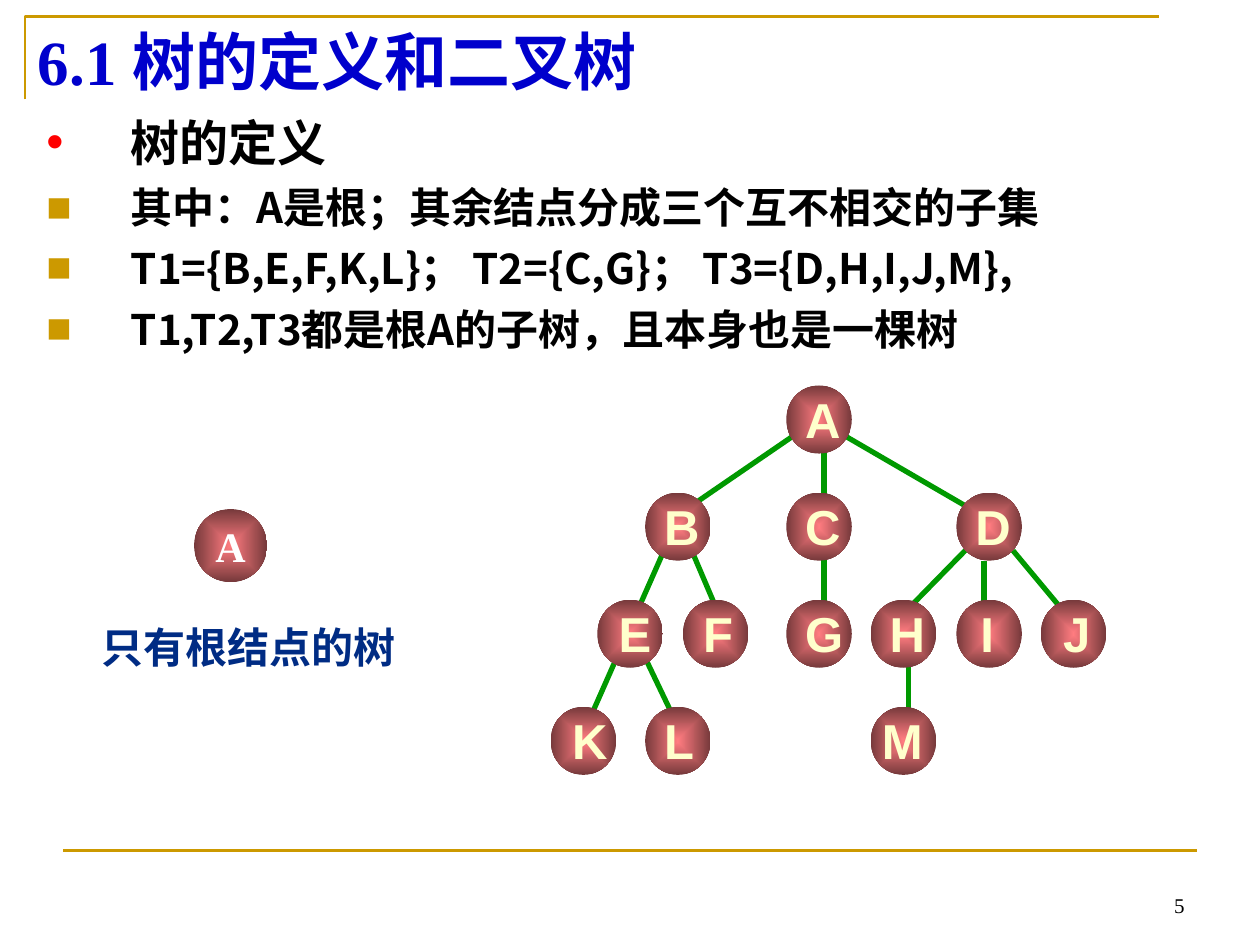
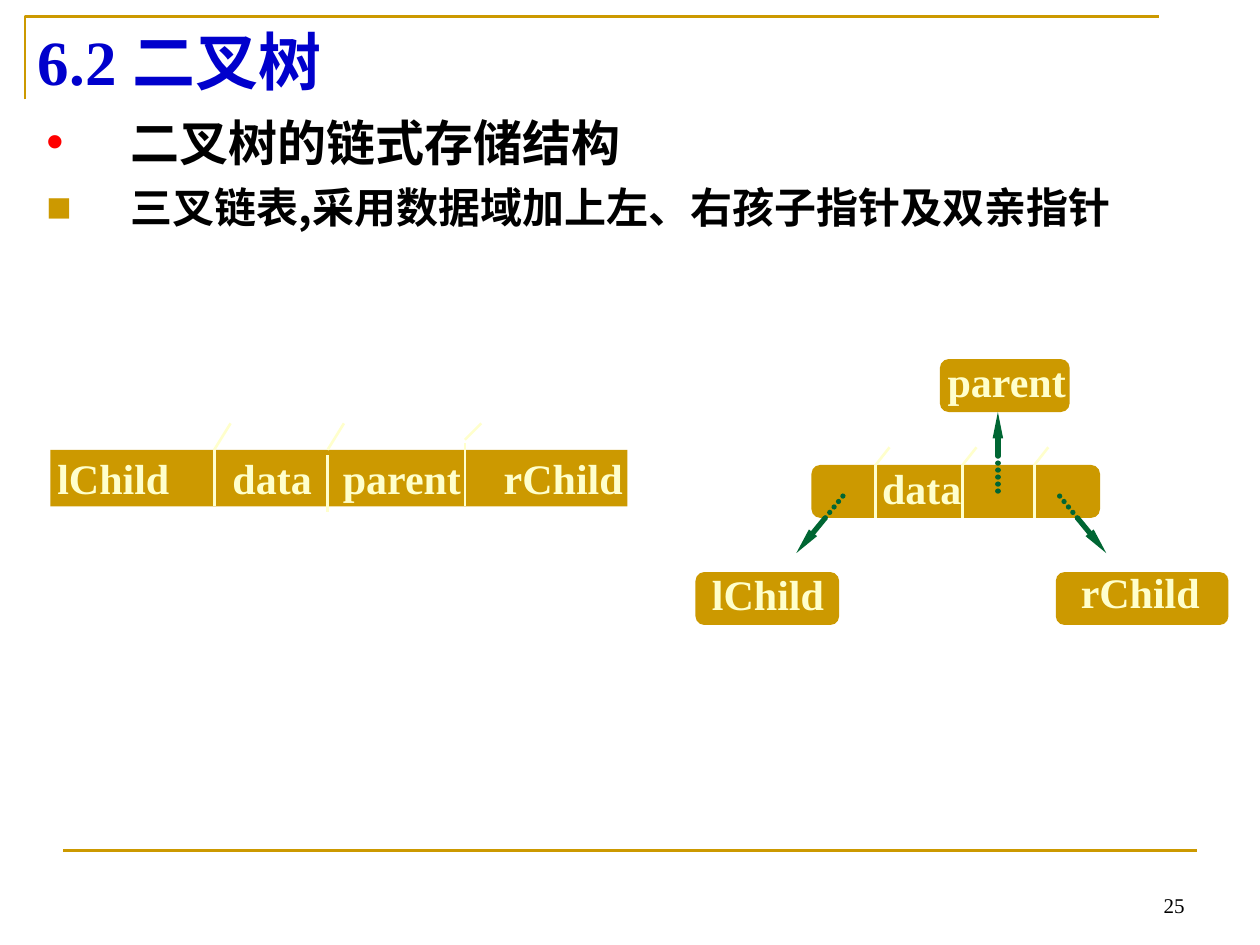
from lxml.etree import SubElement
from pptx import Presentation
from pptx.dml.color import RGBColor
from pptx.enum.shapes import MSO_CONNECTOR, MSO_SHAPE
from pptx.enum.text import MSO_ANCHOR, MSO_AUTO_SIZE, PP_ALIGN
from pptx.oxml.ns import qn
from pptx.util import Inches, Pt

COLORS = {
    "gold": "CC9900", "title": "0000CC", "black": "000000", "white": "FFFFFF",
    "red": "FF0000", "cream": "FFFFCC", "navy": "002C84", "edge": "009900",
    "pointer": "006633", "node_center": "FF7C80", "node_rim": "76393B",
}
SERIF, SANS, CHINESE = "Times New Roman", "Arial", "Noto Sans CJK SC"

# Tree nodes: letter -> (left, level, label left, label width)
NODE_WIDTH, NODE_HEIGHT = 0.52, 0.54
TREE_TOP, LEVEL_STEP = 3.06, 0.85
NODES = {
    "A": (6.24, 0, 6.29, 0.48),
    "B": (5.12, 1, 5.17, 0.48), "C": (6.24, 1, 6.29, 0.48), "D": (7.59, 1, 7.64, 0.48),
    "E": (4.74, 2, 4.81, 0.46), "F": (5.42, 2, 5.48, 0.44), "G": (6.24, 2, 6.29, 0.5),
    "H": (6.91, 2, 6.96, 0.48), "I": (7.59, 2, 7.68, 0.31), "J": (8.26, 2, 8.34, 0.41),
    "K": (4.37, 3, 4.44, 0.48), "L": (5.12, 3, 5.17, 0.44), "M": (6.91, 3, 6.9, 0.52),
}
TREE_EDGES = [
    ((8.04, 4.37), (8.49, 4.91)), ((7.66, 4.37), (7.21, 4.83)),
    ((7.81, 4.45), (7.81, 4.83)), ((7.21, 5.29), (7.21, 5.76)),
    ((6.69, 3.45), (7.74, 4.06)), ((6.31, 3.45), (5.42, 4.06)),
    ((6.54, 3.53), (6.54, 5.29)), ((5.49, 4.37), (5.72, 4.91)),
    ((5.12, 5.22), (5.34, 5.68)), ((5.27, 4.37), (4.59, 5.91)),
]


def color(name):
    return RGBColor.from_string(COLORS[name])


def write_text(paragraph, text, size=24, font=SERIF, fill="cream", bold=True,
               align=PP_ALIGN.LEFT):
    paragraph.alignment = align
    run = paragraph.add_run()
    run.text = text
    run.font.size = Pt(size)
    run.font.bold = bold
    run.font.color.rgb = color(fill)
    run.font.name = font
    SubElement(run.font._element, qn("a:ea"), typeface=CHINESE)


def add_text(slide, box, text, wrap=False, anchor=MSO_ANCHOR.MIDDLE, margin=0.1,
             **text_format):
    frame = slide.shapes.add_textbox(*map(Inches, box)).text_frame
    frame.word_wrap = wrap
    frame.vertical_anchor = anchor
    frame.margin_left = frame.margin_right = Inches(margin)
    write_text(frame.paragraphs[0], text, **text_format)


def add_label(slide, box, text, **text_format):
    add_text(slide, box, text, margin=0, align=PP_ALIGN.CENTER, **text_format)


def add_line(slide, start, end, line_color, width=1.5, dotted=False, arrow=False):
    connector = slide.shapes.add_connector(
        MSO_CONNECTOR.STRAIGHT, *map(Inches, (*start, *end)))
    connector.line.color.rgb = color(line_color)
    connector.line.width = Pt(width)
    properties = connector.element.spPr
    outline = properties.find(qn("a:ln"))
    if dotted:
        outline.set("cap", "rnd")
        dashes = SubElement(outline, qn("a:custDash"))
        SubElement(dashes, qn("a:ds"), d="100000", sp="33000")
    if arrow:
        SubElement(outline, qn("a:tailEnd"), type="triangle", w="sm", len="lg")
    SubElement(properties, qn("a:effectLst"))


def add_block(slide, kind, box):
    shape = slide.shapes.add_shape(kind, *map(Inches, box))
    shape.shadow.inherit = False
    shape.line.fill.background()
    shape.fill.solid()
    shape.fill.fore_color.rgb = color("gold")
    return shape


def add_node(slide, box):
    node = add_block(slide, MSO_SHAPE.OVAL, box)
    node.fill.gradient()
    for stop, name in zip(node.fill.gradient_stops, ("node_center", "node_rim")):
        stop.color.rgb = color(name)
    # Shade from the center outwards
    gradient = node.element.spPr.find(qn("a:gradFill"))
    gradient.remove(gradient.find(qn("a:lin")))
    shade = SubElement(gradient, qn("a:path"))
    shade.set("path", "rect")
    SubElement(shade, qn("a:fillToRect"), l="50000", t="50000", r="50000", b="50000")
    return node


def add_bullets(slide, box, heading, points):
    frame = slide.shapes.add_textbox(*map(Inches, box)).text_frame
    frame.word_wrap = True
    for index, text in enumerate([heading, *points]):
        first = index == 0
        paragraph = frame.paragraphs[0] if first else frame.add_paragraph()
        properties = paragraph._p.get_or_add_pPr()
        properties.set("marL", str(Inches(0.67)))
        properties.set("indent", str(-Inches(0.67)))
        bullet_color = SubElement(properties, qn("a:buClr"))
        SubElement(bullet_color, qn("a:srgbClr"), val=COLORS["red" if first else "gold"])
        SubElement(properties, qn("a:buFont"), typeface=SANS)
        SubElement(properties, qn("a:buChar"), char="•" if first else "■")
        if not first:
            paragraph.space_before = Pt(6)
        write_text(paragraph, text, size=28 if first else 24, font=CHINESE, fill="black")


def add_slide(presentation, title, number):
    slide = presentation.slides.add_slide(presentation.slide_layouts[5])
    # Corner rule and bottom rule
    builder = slide.shapes.build_freeform(Inches(0.2), Inches(0.79))
    builder.add_line_segments(
        [(Inches(0.2), Inches(0.13)), (Inches(9.2), Inches(0.13))], close=False)
    corner = builder.convert_to_shape()
    corner.shadow.inherit = False
    corner.fill.background()
    corner.line.color.rgb = color("gold")
    corner.line.width = Pt(1.5)
    add_line(slide, (0.5, 6.75), (9.5, 6.75), "gold")
    # Page number and title
    add_text(slide, (7.17, 6.83, 2.33, 0.5), number, wrap=True, anchor=MSO_ANCHOR.BOTTOM,
             size=12, fill="black", bold=False, align=PP_ALIGN.RIGHT)
    heading = slide.shapes.title
    heading.left, heading.top, heading.width, heading.height = map(
        Inches, (0.2, 0.13, 9, 0.71))
    frame = heading.text_frame
    frame.auto_size = MSO_AUTO_SIZE.NONE
    frame.vertical_anchor = MSO_ANCHOR.TOP
    write_text(frame.paragraphs[0], title, size=36, fill="title")
    return slide


def draw_tree(slide):
    for start, end in TREE_EDGES:
        add_line(slide, start, end, "edge", width=3)
    for left, level, _, _ in NODES.values():
        add_node(slide, (left, TREE_TOP + level * LEVEL_STEP, NODE_WIDTH, NODE_HEIGHT))
    for letter, (_, level, left, width) in NODES.items():
        add_label(slide, (left, TREE_TOP - 0.02 + level * LEVEL_STEP, width, 0.57),
                  letter, size=28, font=SANS)


def draw_record(slide):
    add_block(slide, MSO_SHAPE.RECTANGLE, (0.4, 3.57, 4.58, 0.45))
    fields = {"lChild": 0.9, "data": 2.16, "parent": 3.19, "rChild": 4.47}
    for name, center in fields.items():
        add_label(slide, (center - 0.55, 3.54, 1.1, 0.5), name)
    # Field dividers, each with a slanted tick above
    for x, bottom, top, tick in ((1.7, 4.02, 3.57, 3.57), (2.6, 4.06, 3.61, 3.57),
                                 (3.69, 4.02, 3.52, 3.49)):
        add_line(slide, (x, bottom), (x, top), "cream")
        add_line(slide, (x, tick), (x + 0.13, 3.36), "cream")


def draw_linked_node(slide):
    for left, top, width in ((7.46, 2.85, 1.03), (6.44, 3.69, 2.29),
                             (8.38, 4.54, 1.37), (5.52, 4.54, 1.14)):
        add_block(slide, MSO_SHAPE.ROUNDED_RECTANGLE, (left, top, width, 0.42))
    for name, left, top, width in (("parent", 7.42, 2.77, 1.14), ("data", 6.9, 3.62, 0.83),
                                   ("lChild", 5.55, 4.46, 1.09), ("rChild", 8.48, 4.45, 1.14)):
        add_label(slide, (left, top, width, 0.5), name)
    for x in (6.95, 7.64, 8.21):
        add_line(slide, (x, 4.11), (x, 3.69), "cream")
        add_line(slide, (x, 3.69), (x + 0.11, 3.55), "cream")
    # Pointers: dotted inside the node, solid with an arrowhead outside
    for inside, border, target in (((7.92, 3.9), (7.92, 3.62), (7.92, 3.27)),
                                   ((6.72, 3.9), (6.55, 4.11), (6.32, 4.39)),
                                   ((8.38, 3.9), (8.55, 4.11), (8.78, 4.39))):
        add_line(slide, border, target, "pointer", width=3, arrow=True)
        add_line(slide, border, inside, "pointer", width=3, dotted=True)


def main():
    presentation = Presentation()
    presentation.slide_width, presentation.slide_height = Inches(10), Inches(7.5)

    # Tree definition
    slide = add_slide(presentation, "6.1 树的定义和二叉树", "5")
    add_bullets(slide, (0.27, 0.84, 9.29, 2.36), "树的定义", [
        "其中：A是根；其余结点分成三个互不相交的子集",
        "T1={B,E,F,K,L}； T2={C,G}； T3={D,H,I,J,M},",
        "T1,T2,T3都是根A的子树，且本身也是一棵树",
    ])
    root = add_node(slide, (1.54, 4.04, 0.58, 0.58))
    root.text_frame.word_wrap = False
    write_text(root.text_frame.paragraphs[0], "A", fill="white", align=PP_ALIGN.CENTER)
    add_text(slide, (0.71, 4.88, 2.53, 0.5), "只有根结点的树", fill="navy",
             anchor=MSO_ANCHOR.TOP)
    draw_tree(slide)

    # Linked storage of a binary tree
    slide = add_slide(presentation, "6.2 二叉树", "25")
    add_bullets(slide, (0.27, 0.84, 9.29, 3.86), "二叉树的链式存储结构",
                ["三叉链表,采用数据域加上左、右孩子指针及双亲指针"])
    draw_record(slide)
    draw_linked_node(slide)

    presentation.save("out.pptx")


if __name__ == "__main__":
    main()
